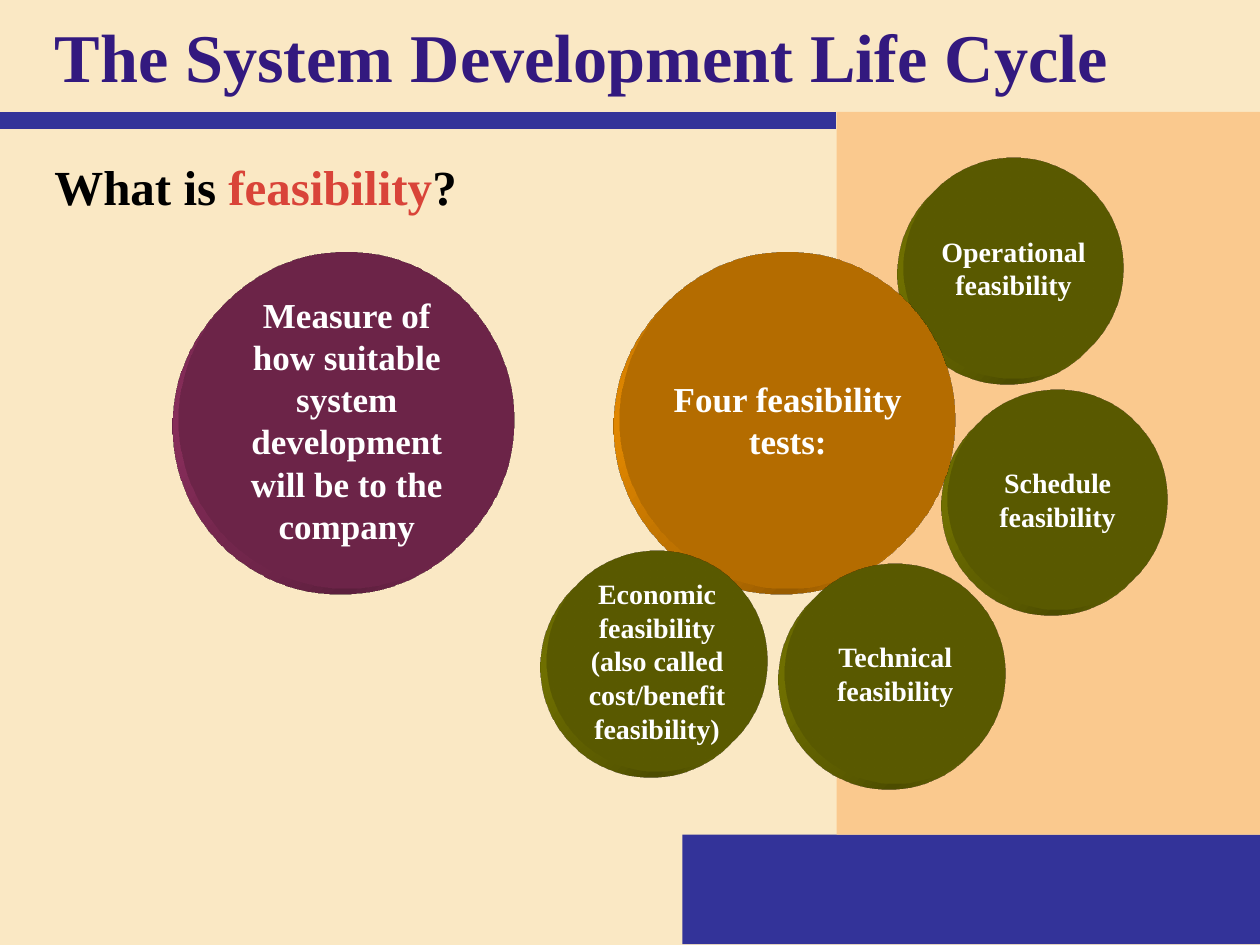
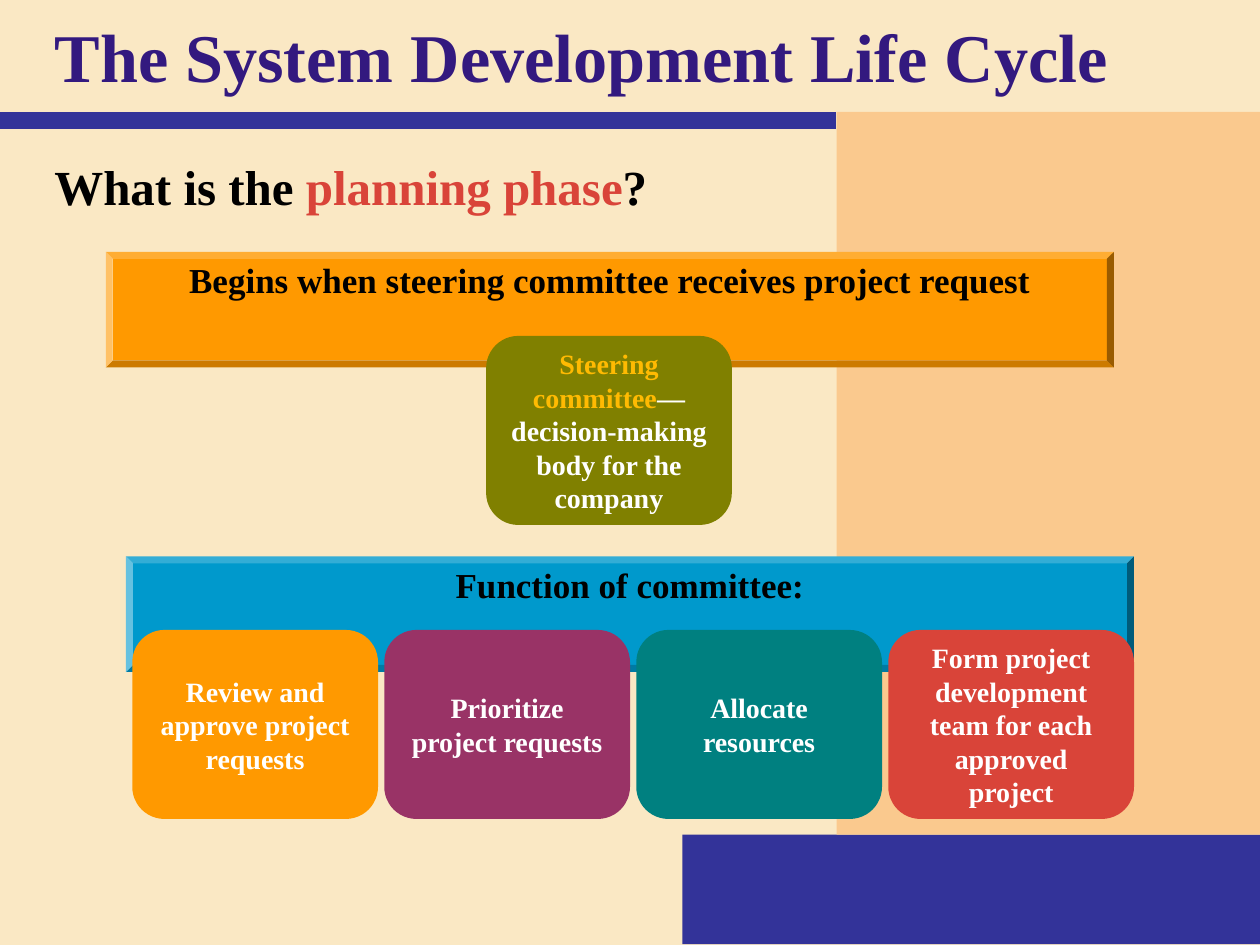
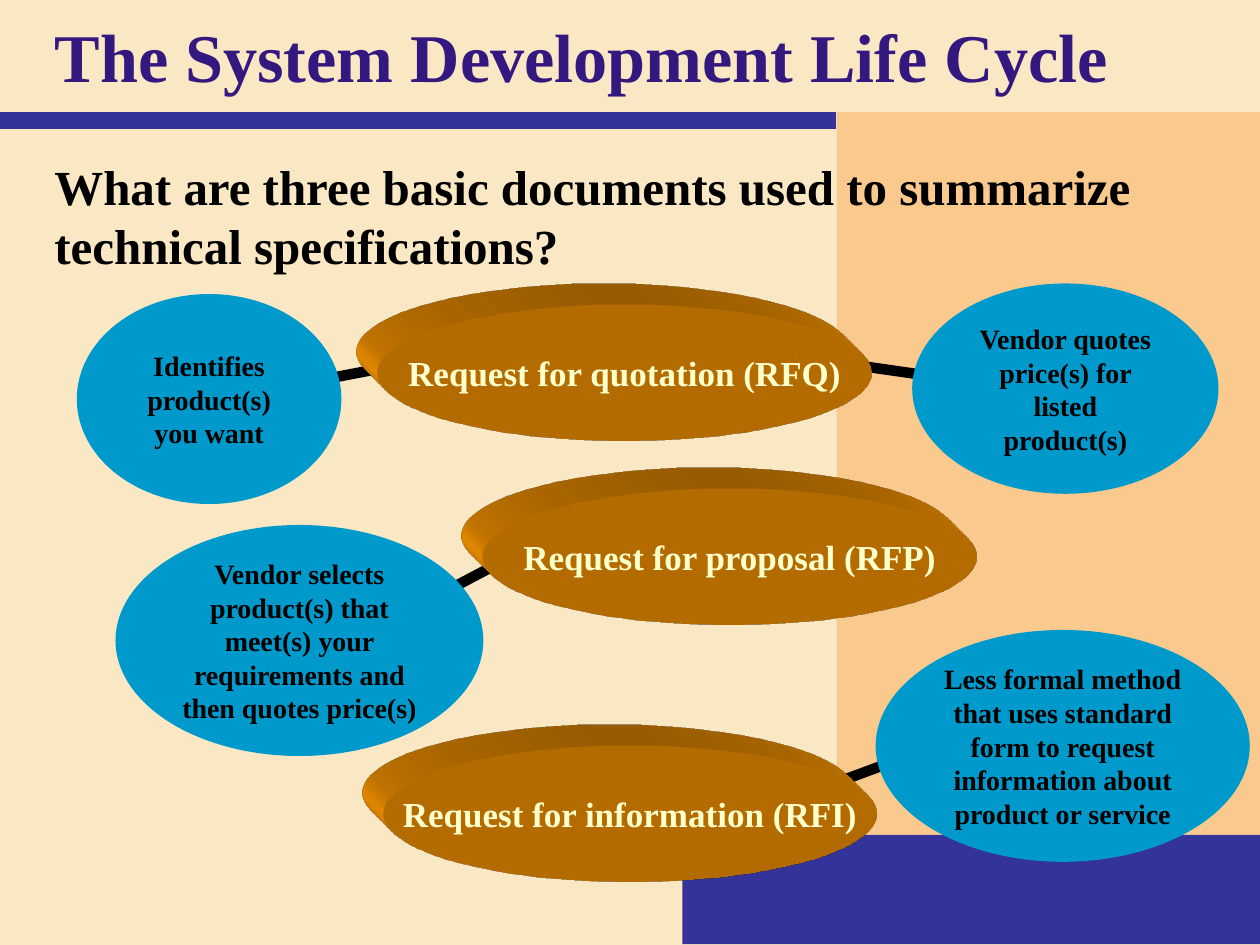
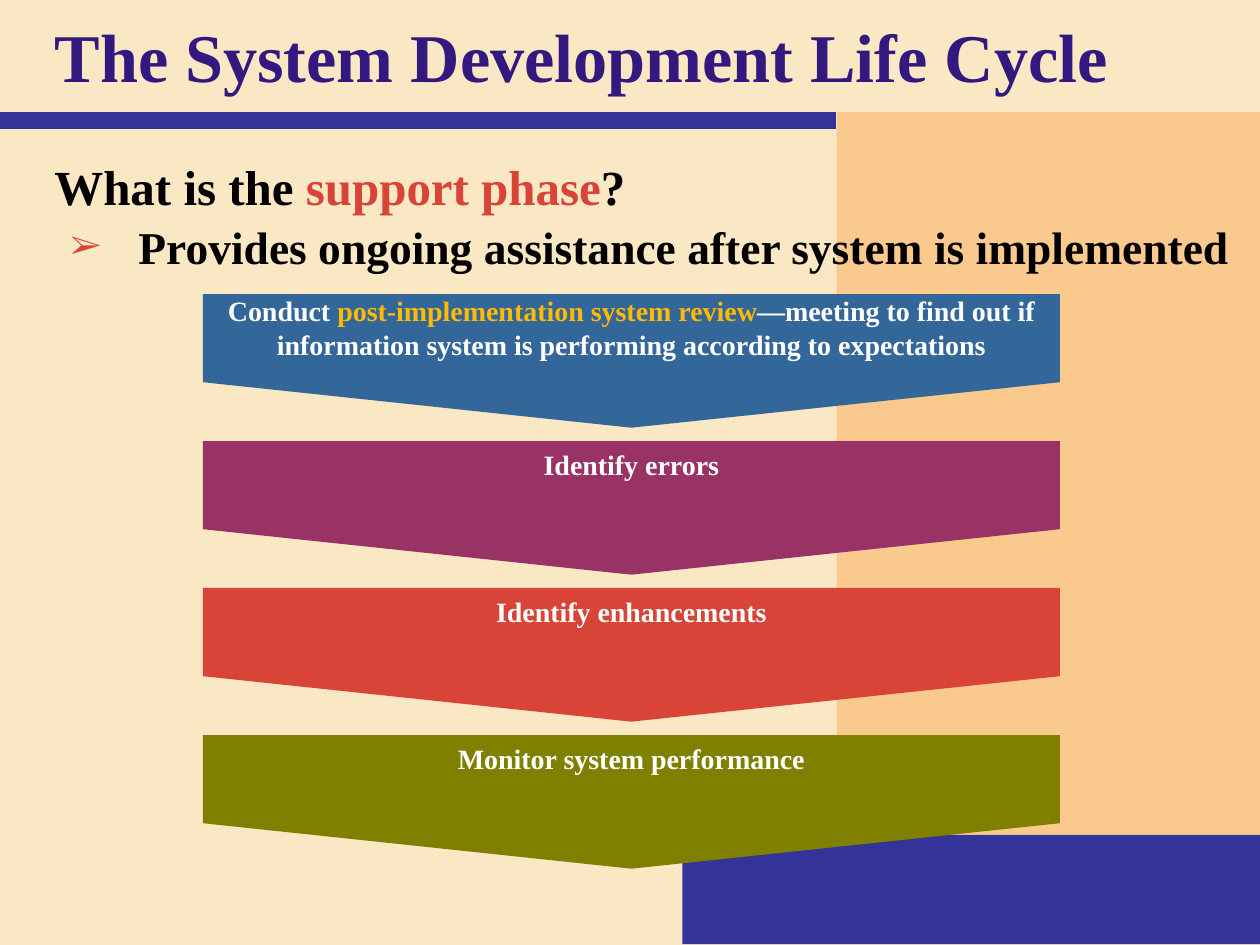
from dataclasses import dataclass

from lxml.etree import SubElement
from pptx import Presentation
from pptx.dml.color import RGBColor
from pptx.enum.shapes import MSO_CONNECTOR, MSO_SHAPE
from pptx.enum.text import MSO_ANCHOR, PP_ALIGN
from pptx.oxml.ns import qn
from pptx.util import Pt


@dataclass(frozen=True)
class Theme:
    font: str = "Times New Roman"
    paper: str = "FAE8C4"
    panel: str = "FAC98E"
    band: str = "333399"
    title: str = "33197F"
    ink: str = "000000"
    white: str = "FFFFFF"
    cream: str = "FFFFCC"
    gold: str = "FFBA02"
    red: str = "D94439"
    plum: str = "993366"
    olive: str = "808000"
    orange: str = "FF9900"
    blue: str = "0099CC"
    steel: str = "336699"
    teal: str = "008080"
    title_size: int = 39
    question_size: int = 28
    point_size: int = 26
    large: int = 20
    small: int = 16


THEME = Theme()
TITLE = "The System Development Life Cycle"
INSETS = (7.2, 3.6, 7.2, 3.6)
NO_INSETS = (0, 0, 0, 0)

FEASIBILITY_QUESTION = [("What is ", THEME.ink), ("feasibility", THEME.red), ("?", THEME.ink)]
BIG_CIRCLE, SMALL_CIRCLE = 192, 126
CIRCLES = [
    ("Measure of how suitable system development will be to the company",
     102.2, 144, BIG_CIRCLE, THEME.plum, THEME.large),
    ("Operational feasibility", 516.2, 90, SMALL_CIRCLE, THEME.olive, THEME.small),
    ("Schedule feasibility", 541.4, 222.5, SMALL_CIRCLE, THEME.olive, THEME.small),
    ("Four feasibility tests:", 354.2, 144, BIG_CIRCLE, THEME.orange, THEME.large),
    ("Technical feasibility", 448.6, 321.8, SMALL_CIRCLE, THEME.olive, THEME.small),
    ("Economic feasibility (also called cost/benefit feasibility)",
     312.5, 314.6, SMALL_CIRCLE, THEME.olive, THEME.small),
]

PLANNING_QUESTION = [("What is the ", THEME.ink), ("planning phase", THEME.red), ("?", THEME.ink)]
START = ("Begins when steering committee receives project request", 60.5, 144, THEME.orange)
FUNCTION = ("Function of committee:", 72, 318, THEME.blue)
COMMITTEE = [("Steering committee", THEME.gold),
             ("—decision-making body for the company", THEME.white)]
DUTIES = [
    ("Review and approve project requests", THEME.orange),
    ("Prioritize project requests", THEME.plum),
    ("Allocate resources", THEME.teal),
    ("Form project development team for each approved project", THEME.red),
]

DOCUMENTS_QUESTION = [
    ("What are three basic documents used to summarize technical specifications?", THEME.ink)]
DESCRIPTIONS = [
    ("Less formal method that uses standard form to request information about product or service",
     (500.4, 360, 213.8, 132.5), (519, 432, 438, 462), NO_INSETS),
    ("Vendor quotes price(s) for listed product(s)",
     (521.3, 162, 175, 120.2), (540, 216, 456, 204), INSETS),
    ("Vendor selects product(s) that meet(s) your requirements and then quotes price(s)",
     (66, 300, 210.2, 132), (315, 306, 228, 352), INSETS),
    ("Identifies product(s) you want",
     (43.9, 168, 151.2, 120), (252, 204, 157.7, 222), INSETS),
]
DOCUMENTS = [
    ("Request for information (RFI)", 219, 426),
    ("Request for proposal (RFP)", 276, 279),
    ("Request for quotation (RFQ)", 216, 174),
]

SUPPORT_QUESTION = [("What is the ", THEME.ink), ("support phase", THEME.red), ("?", THEME.ink)]
SUPPORT_POINT = [("Provides ongoing assistance after system is implemented", THEME.ink)]
STEPS = [
    ([("Conduct ", THEME.white), ("post-implementation system review", THEME.gold),
      ("—meeting to find out if information system is performing according to expectations",
       THEME.white)], THEME.steel, 0),
    ([("Identify errors", THEME.white)], THEME.plum, 7.2),
    ([("Identify enhancements", THEME.white)], THEME.red, 7.2),
    ([("Monitor system performance", THEME.white)], THEME.olive, 7.2),
]


def write(frame, pieces, size, align=PP_ALIGN.CENTER, anchor=MSO_ANCHOR.MIDDLE,
          insets=INSETS, wrap=True):
    frame.word_wrap = wrap
    frame.vertical_anchor = anchor
    frame.margin_left, frame.margin_top, frame.margin_right, frame.margin_bottom = map(Pt, insets)
    paragraph = frame.paragraphs[0]
    paragraph.alignment = align
    for words, colour in pieces:
        run = paragraph.add_run()
        run.text = words
        run.font.name = THEME.font
        run.font.size = Pt(size)
        run.font.bold = True
        run.font.color.rgb = RGBColor.from_string(colour)


def add_block(slide, kind, box, colour, adjustment=None):
    block = slide.shapes.add_shape(kind, *map(Pt, box))
    block.shadow.inherit = False
    block.fill.solid()
    block.fill.fore_color.rgb = RGBColor.from_string(colour)
    block.line.fill.background()
    if adjustment is not None:
        block.adjustments[0] = adjustment
    return block


def add_line(slide, ends, colour, width):
    line = slide.shapes.add_connector(MSO_CONNECTOR.STRAIGHT, *map(Pt, ends))
    line.line.color.rgb = RGBColor.from_string(colour)
    line.line.width = Pt(width)
    SubElement(line.element.spPr, qn("a:effectLst"))
    return line


def add_text(slide, box, pieces, size):
    text = slide.shapes.add_textbox(*map(Pt, box))
    write(text.text_frame, pieces, size, PP_ALIGN.LEFT, MSO_ANCHOR.TOP)
    return text


def extrude(block, camera, light, depth, colour):
    properties = block.element.spPr
    scene = SubElement(properties, qn("a:scene3d"))
    SubElement(scene, qn("a:camera"), prst=camera)
    SubElement(scene, qn("a:lightRig"), rig=light, dir="t")
    solid = SubElement(properties, qn("a:sp3d"),
                       extrusionH=str(Pt(depth)), prstMaterial="legacyMatte")
    extrusion = SubElement(solid, qn("a:extrusionClr"))
    SubElement(extrusion, qn("a:srgbClr"), val=colour)


def decorate(layout, slide):
    layout.background.fill.solid()
    layout.background.fill.fore_color.rgb = RGBColor.from_string(THEME.paper)
    footer = add_block(slide, MSO_SHAPE.RECTANGLE, (390, 477, 331, 62.6), THEME.band)
    panel = add_block(slide, MSO_SHAPE.RECTANGLE, (478, 64, 242, 413), THEME.panel)
    rule = add_line(slide, (0, 69, 478, 69), THEME.band, 10)
    for part in (footer, panel, rule):
        layout.shapes.element.append(part.element)


def add_slide(deck, question, question_height):
    slide = deck.slides.add_slide(deck.slide_layouts[5])
    heading = slide.shapes.title
    heading.left, heading.top, heading.width, heading.height = map(Pt, (24, 0, 676, 63.4))
    write(heading.text_frame, [(TITLE, THEME.title)], THEME.title_size, PP_ALIGN.LEFT)
    add_text(slide, (24, 85.7, 676, question_height), question, THEME.question_size)
    return slide


def build_feasibility(deck):
    slide = add_slide(deck, FEASIBILITY_QUESTION, 46)
    decorate(deck.slide_layouts[5], slide)
    for words, left, top, diameter, colour, size in CIRCLES:
        circle = add_block(slide, MSO_SHAPE.OVAL, (left, top, diameter, diameter), colour)
        extrude(circle, "legacyObliqueBottomLeft", "legacyFlat3", 10, colour)
        write(circle.text_frame, [(words, THEME.white)], size, insets=NO_INSETS)


def build_planning(deck):
    slide = add_slide(deck, PLANNING_QUESTION, 52)
    card_width, card_height, card_pitch = 140.4, 108, 144

    def add_bar(words, left, top, colour):
        bar = add_block(slide, MSO_SHAPE.BEVEL, (left, top, 576, 66), colour, 0.06)
        write(bar.text_frame, [(words, THEME.ink)], THEME.large,
              anchor=MSO_ANCHOR.TOP, insets=(7.2, 0, 7.2, 3.6))

    def add_card(pieces, left, top, colour):
        card = add_block(slide, MSO_SHAPE.ROUNDED_RECTANGLE,
                         (left, top, card_width, card_height), colour, 0.17)
        write(card.text_frame, pieces, THEME.small)

    add_bar(*START)
    add_card(COMMITTEE, 277.8, 192, THEME.olive)
    add_bar(*FUNCTION)
    for index, (words, colour) in enumerate(DUTIES):
        add_card([(words, THEME.white)], 75.6 + index * card_pitch, 360, colour)


def build_documents(deck):
    slide = add_slide(deck, DOCUMENTS_QUESTION, 82)
    for words, box, ends, insets in DESCRIPTIONS:
        add_line(slide, ends, THEME.ink, 6)
        description = add_block(slide, MSO_SHAPE.OVAL, box, THEME.blue)
        write(description.text_frame, [(words, THEME.ink)], THEME.small, insets=insets)
    for words, left, top in DOCUMENTS:
        document = add_block(slide, MSO_SHAPE.OVAL, (left, top, 282, 78), THEME.orange)
        extrude(document, "legacyObliqueTopLeft", "legacyFlat3", 34, THEME.orange)
        write(document.text_frame, [(words, THEME.cream)], THEME.large, wrap=False)


def build_support(deck):
    slide = add_slide(deck, SUPPORT_QUESTION, 46)
    length, thickness, pitch = 489.6, 76.4, 84
    centre, first_top = 360.8, 168
    for index, (pieces, colour, inset) in enumerate(STEPS):
        middle = first_top + index * pitch + thickness / 2
        step = add_block(slide, MSO_SHAPE.PENTAGON,
                         (centre - thickness / 2, middle - length / 2, thickness, length),
                         colour, 0.34)
        step.rotation = 90
        write(step.text_frame, pieces, THEME.small, anchor=MSO_ANCHOR.TOP,
              insets=(inset, 3.6, 7.2, 3.6))
        step.text_frame._txBody.bodyPr.set("vert", "vert270")
    point = add_text(slide, (24, 121.7, 696, 40.3), SUPPORT_POINT, THEME.point_size)
    properties = point.text_frame.paragraphs[0]._p.get_or_add_pPr()
    properties.set("marL", str(Pt(48)))
    properties.set("indent", str(Pt(-39)))
    bullet_colour = SubElement(properties, qn("a:buClr"))
    SubElement(bullet_colour, qn("a:srgbClr"), val=THEME.red)
    SubElement(properties, qn("a:buSzPct"), val="75000")
    SubElement(properties, qn("a:buFont"), typeface=THEME.font)
    SubElement(properties, qn("a:buChar"), char="➢")


def main():
    deck = Presentation()
    deck.slide_width, deck.slide_height = Pt(720), Pt(540)
    build_feasibility(deck)
    build_planning(deck)
    build_documents(deck)
    build_support(deck)
    deck.save("out.pptx")


if __name__ == "__main__":
    main()
